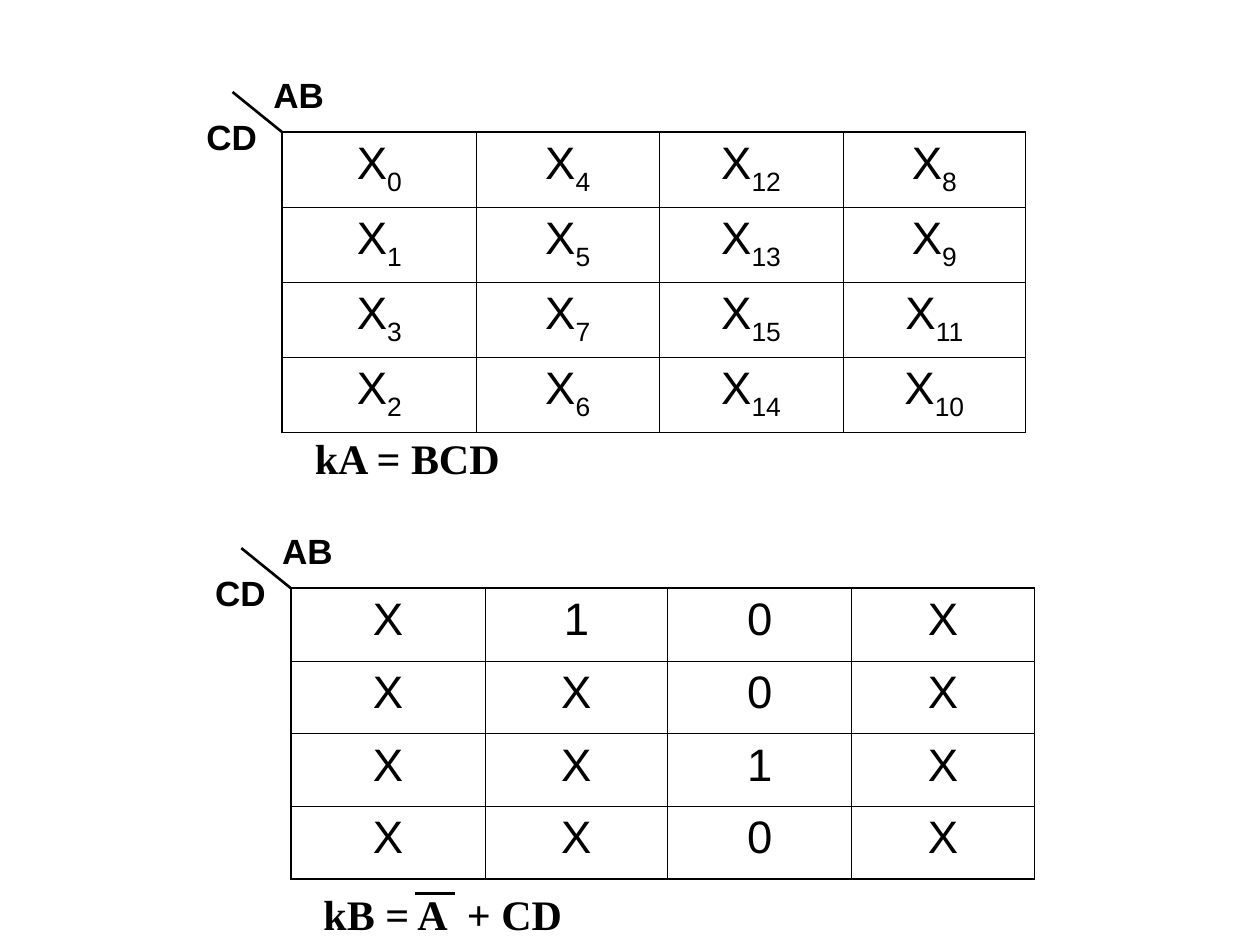
from lxml import etree
from pptx import Presentation
from pptx.dml.color import RGBColor
from pptx.enum.shapes import MSO_CONNECTOR
from pptx.enum.text import PP_ALIGN
from pptx.oxml.ns import qn
from pptx.util import Pt

STRAIGHT = MSO_CONNECTOR.STRAIGHT
LEFT, CENTER = PP_ALIGN.LEFT, PP_ALIGN.CENTER

COLUMN_WIDTHS = [110.9, 104.4, 105.1, 104.4]
MINTERMS = [
    ["X0", "X4", "X12", "X8"],
    ["X1", "X5", "X13", "X9"],
    ["X3", "X7", "X15", "X11"],
    ["X2", "X6", "X14", "X10"],
]
VALUES = [
    ["X", "1", "0", "X"],
    ["X", "X", "0", "X"],
    ["X", "X", "1", "X"],
    ["X", "X", "0", "X"],
]


def color(hex_string):
    return RGBColor.from_string(hex_string)


def write(paragraph, text, subscript="", font="Arial", size=20, bold=False,
          ink="000000", align=LEFT, tab_stop=None):
    """Fill a paragraph with text, an optional subscript and one format."""
    if tab_stop:
        tabs = etree.SubElement(paragraph._p.get_or_add_pPr(), qn("a:tabLst"))
        etree.SubElement(tabs, qn("a:tab"), pos=str(Pt(tab_stop)), algn="l")
    paragraph.alignment = align
    for part, baseline in ((text, 0), (subscript, -25000)):
        if not part:
            continue
        run = paragraph.add_run()
        run.text = part
        run.font.name = font
        run.font.size = Pt(size)
        run.font.bold = bold
        run.font.color.rgb = color(ink)
        if baseline:
            run._r.get_or_add_rPr().set("baseline", str(baseline))


def set_borders(cell, widths, ink):
    """Draw cell borders; widths maps L, R, T and B to points."""
    properties = cell._tc.get_or_add_tcPr()
    for index, side in enumerate("LRTB"):
        border = etree.Element(qn(f"a:ln{side}"), w=str(Pt(widths[side])))
        fill = etree.SubElement(border, qn("a:solidFill"))
        etree.SubElement(fill, qn("a:srgbClr"), val=ink)
        properties.insert(index, border)


class KarnaughSlide:
    ink = "000000"
    outer_border = 1.08
    inner_border = 0.45
    line_width = 1.5

    def __init__(self, slide):
        self.slide = slide

    def text(self, text, left, top, width, height, **text_format):
        box = self.slide.shapes.add_textbox(Pt(left), Pt(top), Pt(width), Pt(height))
        box.text_frame.word_wrap = True
        write(box.text_frame.paragraphs[0], text, bold=True, ink=self.ink, **text_format)

    def line(self, start_x, start_y, end_x, end_y):
        connector = self.slide.shapes.add_connector(
            STRAIGHT, Pt(start_x), Pt(start_y), Pt(end_x), Pt(end_y))
        connector.line.color.rgb = color(self.ink)
        connector.line.width = Pt(self.line_width)
        etree.SubElement(connector._element.spPr, qn("a:effectLst"))

    def table(self, rows, left, top, row_height):
        last_row, last_column = len(rows) - 1, len(COLUMN_WIDTHS) - 1
        table = self.slide.shapes.add_table(
            len(rows), len(COLUMN_WIDTHS), Pt(left), Pt(top),
            Pt(sum(COLUMN_WIDTHS)), Pt(row_height * len(rows))).table
        table.first_row = table.horz_banding = False
        for column, width in zip(table.columns, COLUMN_WIDTHS):
            column.width = Pt(width)
        for r, row in enumerate(rows):
            table.rows[r].height = Pt(row_height)
            for c, symbol in enumerate(row):
                cell = table.cell(r, c)
                cell.fill.background()
                on_edge = {"L": c == 0, "R": c == last_column,
                           "T": r == 0, "B": r == last_row}
                widths = {side: self.outer_border if edge else self.inner_border
                          for side, edge in on_edge.items()}
                set_borders(cell, widths, self.ink)
                write(cell.text_frame.paragraphs[0], symbol[0], subscript=symbol[1:],
                      size=26, ink=self.ink, align=CENTER)

    def karnaugh_map(self, rows, left, top, row_height, formula, tab_stop=None):
        """Draw a map with its corner labels and the formula below it."""
        self.table(rows, left, top, row_height)
        self.line(left - 28.4, top - 23, left, top)
        self.text("AB", left - 12.2, top - 37.2, 45.4, 31.7)
        self.text("CD", left - 50.4, top - 13, 45.4, 31.7)
        self.text(formula, left + 11.5, top + 167.8, 183, 36,
                  font="Times New Roman", size=24, tab_stop=tab_stop)


def main():
    presentation = Presentation()
    presentation.slide_width, presentation.slide_height = Pt(720), Pt(540)
    slide = presentation.slides.add_slide(presentation.slide_layouts[6])
    page = KarnaughSlide(slide)
    page.karnaugh_map(MINTERMS, 161.3, 75.6, 42.9, "kA = BCD")
    page.karnaugh_map(VALUES, 166.3, 336.2, 41.5, "kB = A\t+ CD", tab_stop=82)
    page.line(236.9, 510.5, 260, 510.5)
    presentation.save("out.pptx")


if __name__ == "__main__":
    main()
